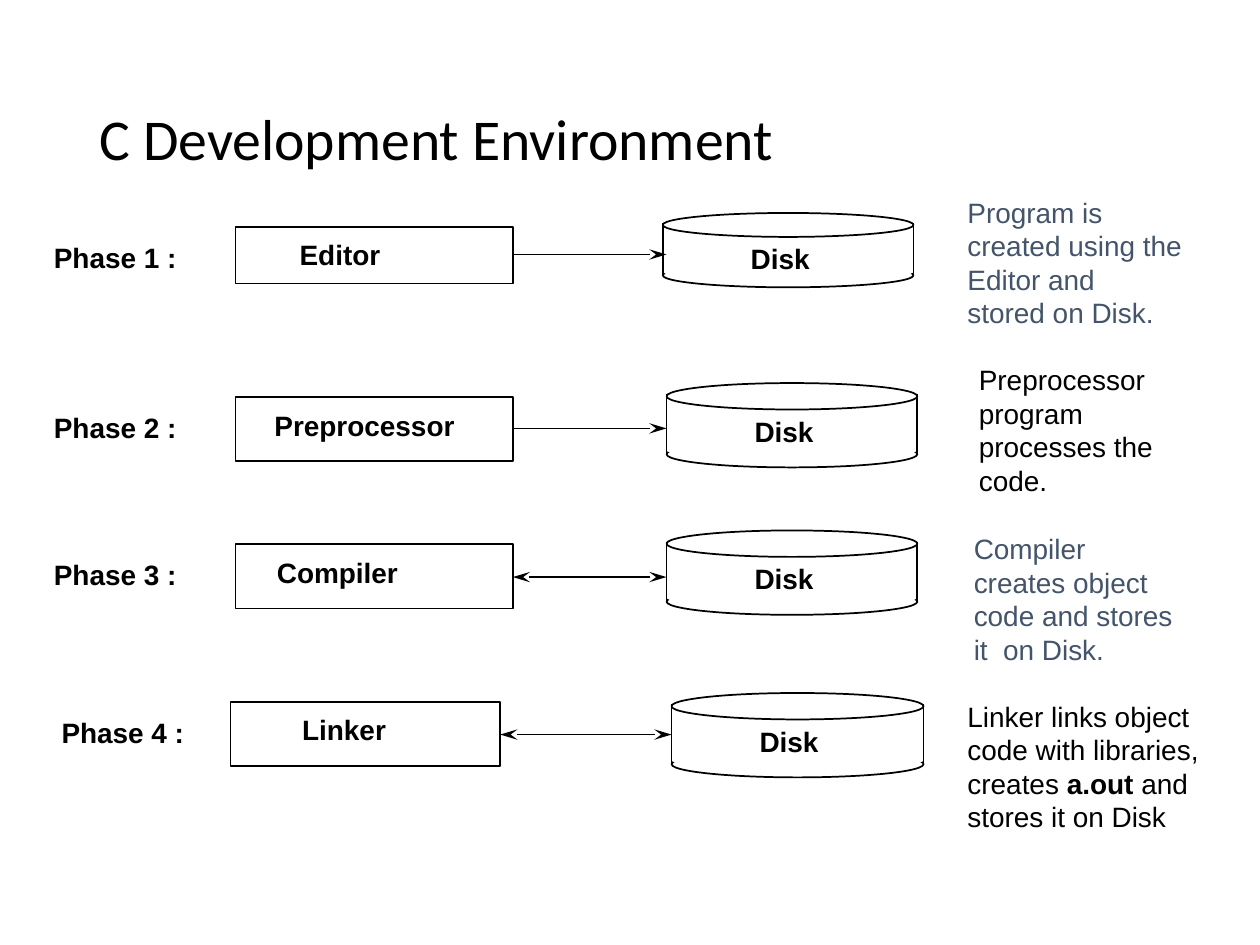
from pptx import Presentation
from pptx.dml.color import RGBColor
from pptx.enum.shapes import MSO_CONNECTOR as Link, MSO_SHAPE as Form
from pptx.enum.text import MSO_ANCHOR as Anchor
from pptx.oxml.ns import qn
from pptx.util import Inches, Pt
from lxml.etree import SubElement as sub

INK, SLATE, WHITE = "000000", "44546A", "FFFFFF"


def tint(code):
    """Turn a hex string into a colour."""
    return RGBColor.from_string(code)


def place(*spans):
    """Turn numbers into lengths in inches."""
    return [Inches(round(span, 2)) for span in spans]


def write(slide, box, lines, size=16, face="Arial", hue=INK, wrap=False):
    """Add a text box; each line is a list of (words, bold) runs."""
    frame = slide.shapes.add_textbox(*place(*box)).text_frame
    frame.word_wrap = wrap
    for i, line in enumerate(lines):
        para = frame.add_paragraph() if i else frame.paragraphs[0]
        for words, bold in line:
            run = para.add_run()
            run.text = words
            font = run.font
            font.size, font.name, font.bold = Pt(size), face, bold
            font.color.rgb = tint(hue)
    return frame


def outline(slide, form, box, fill=None, edge=True):
    """Add a shape with an optional fill and a thin black edge."""
    shape = slide.shapes.add_shape(form, *place(*box))
    shape.shadow.inherit = False
    if fill:
        shape.fill.solid()
        shape.fill.fore_color.rgb = tint(fill)
    else:
        shape.fill.background()
    if edge:
        shape.line.color.rgb = tint(INK)
        shape.line.width = Pt(1)
    else:
        shape.line.fill.background()


def stroke(slide, ends, heads=()):
    """Draw a straight line with stealth heads at the named ends."""
    line = slide.shapes.add_connector(Link.STRAIGHT, *place(*ends))
    line.line.color.rgb = tint(INK)
    line.line.width = Pt(1)
    props = line._element.spPr
    for head in heads:
        sub(props.find(qn("a:ln")), qn("a:" + head), type="stealth", len="lg")
    sub(props, qn("a:effectLst"))


def sides(slide, box, start, stop):
    """Draw both walls of a disk between two shares of its height."""
    x, y, w, h = box
    for wall in (x, x + w):
        stroke(slide, (wall, y + start * h, wall, y + stop * h))


def disk(slide, box):
    """Draw a labelled disk drum inside the box."""
    x, y, w, h = box
    outline(slide, Form.OVAL, (x, y, w, 0.32 * h))
    sides(slide, box, 0.14, 0.8)
    outline(slide, Form.OVAL, (x, y + 0.68 * h, w, 0.32 * h))
    outline(slide, Form.OVAL, (x, y + 0.6 * h, w, 0.37 * h), WHITE, False)
    sides(slide, box, 0.64, 0.85)
    write(slide, (x + 0.6, y + 0.3 * h, 0.7, 0.37), [[("Disk", True)]])


def phase(slide, label, tool, box, drum, heads):
    """Draw one phase: label, tool box, arrow and disk."""
    x, y, w, h = box
    mid = y + h / 2
    tag, left = label
    name, inset = tool
    write(slide, (left, y + 0.06, 1.24, 0.37), [[(tag, True)]])
    outline(slide, Form.RECTANGLE, box, WHITE)
    write(slide, (x + inset, y + 0.04, w - inset, 0.37), [[(name, True)]])
    disk(slide, drum)
    stroke(slide, (x + w, mid, max(drum[0], 5.29), mid), heads)


def build():
    """Build the slide and save it."""
    deck = Presentation()
    deck.slide_width, deck.slide_height = place(10, 7.5)
    slide = deck.slides.add_slide(deck.slide_layouts[6])
    title = write(slide, (0.69, 0.4, 8.62, 1.45),
                  [[("C Development Environment", False)]], 33, "Calibri", wrap=True)
    title.vertical_anchor = Anchor.MIDDLE
    title.paragraphs[0].line_spacing = 0.9

    one, both = ("tailEnd",), ("headEnd", "tailEnd")
    rows = [
        (("Phase 1 :", 0.33), ("Editor", 0.41),
         (1.87, 1.8, 2.2, 0.45), (5.26, 1.69, 1.99, 0.59), one),
        (("Phase 2 :", 0.33), ("Preprocessor", 0.21),
         (1.87, 3.15, 2.2, 0.51), (5.29, 3.04, 1.99, 0.67), one),
        (("Phase 3 :", 0.33), ("Compiler", 0.23),
         (1.87, 4.32, 2.2, 0.51), (5.29, 4.21, 1.99, 0.67), both),
        (("Phase 4 :", 0.39), ("Linker", 0.47),
         (1.83, 5.57, 2.14, 0.51), (5.33, 5.5, 2, 0.67), both),
    ]
    notes = [
        (7.58, 1.91, SLATE, ["Program is", "created using the",
                             "Editor and", "stored on Disk."]),
        (7.67, 1.65, INK, ["Preprocessor", "program", "processes the", "code."]),
        (7.63, 1.85, SLATE, ["Compiler", "creates object",
                             "code and stores", "it  on Disk."]),
        (7.58, 2.08, INK, ["Linker links object", "code with libraries,",
                           "creates |a.out |and", "stores it on Disk"]),
    ]
    for i, (row, (x, w, hue, lines)) in enumerate(zip(rows, notes)):
        phase(slide, *row)
        runs = [[(words, j == 1) for j, words in enumerate(line.split("|"))]
                for line in lines]
        write(slide, (x, 1.5 + i * 4 / 3, w, 1.17), runs, hue=hue)
    deck.save("out.pptx")


build()
